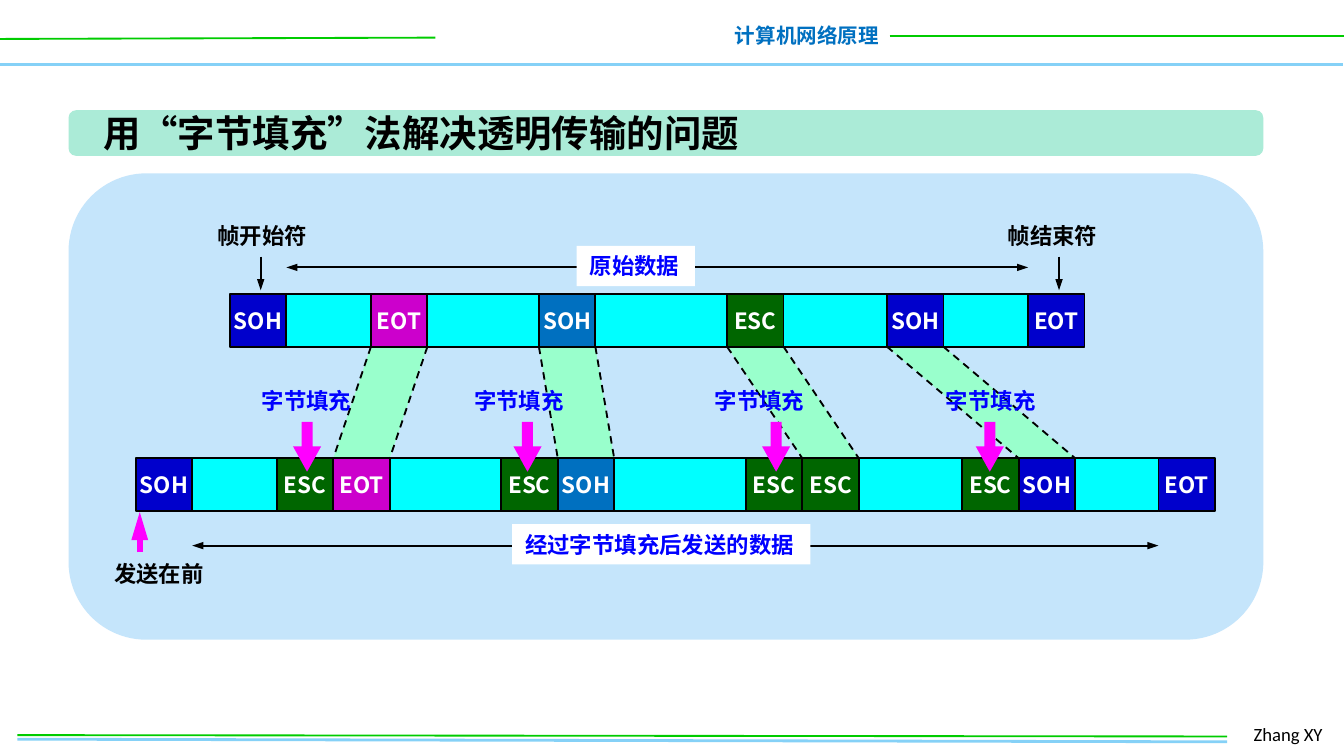
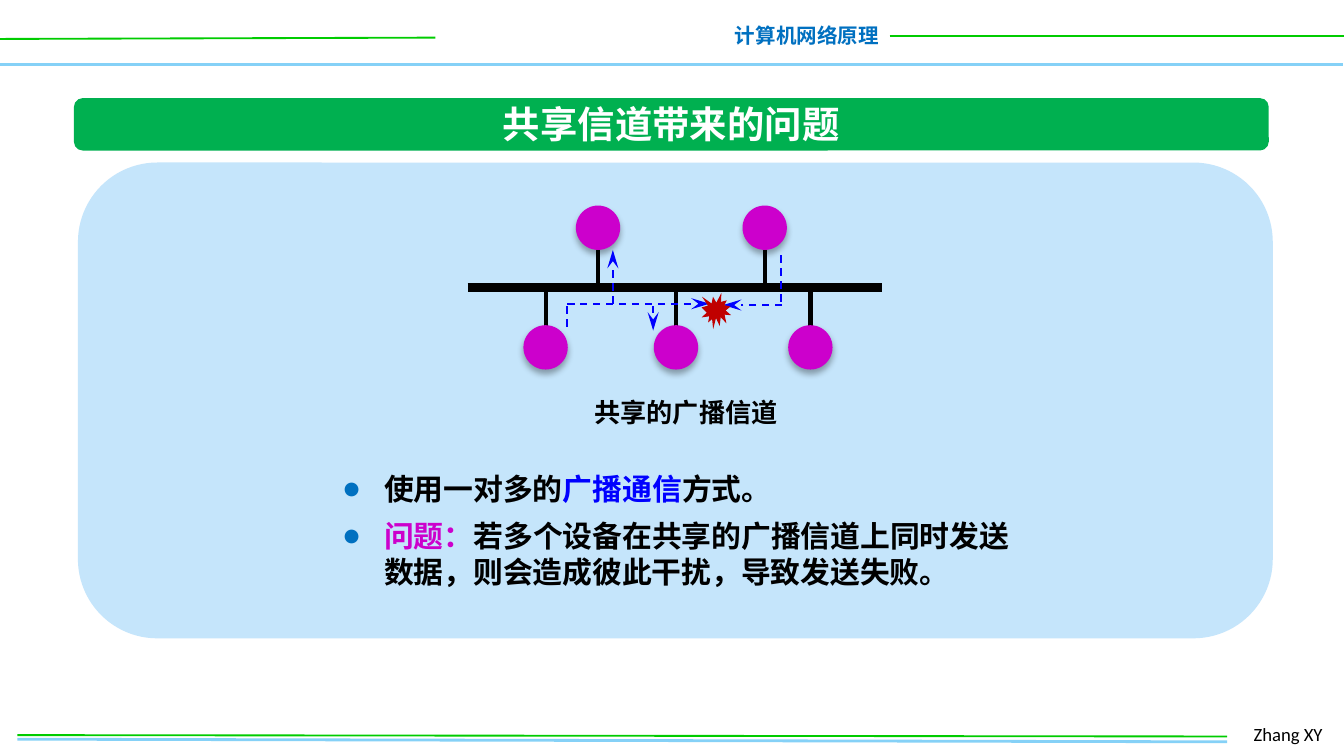
"""Build two slides on byte stuffing and on the shared broadcast channel."""
from lxml import etree
from pptx import Presentation
from pptx.dml.color import RGBColor as RGB
from pptx.enum.dml import MSO_LINE
from pptx.enum.shapes import MSO_CONNECTOR, MSO_SHAPE as SHAPE
from pptx.enum.text import MSO_ANCHOR as ANCHOR, PP_ALIGN as ALIGN
from pptx.oxml.ns import qn
from pptx.util import Inches, Pt

CJK, LATIN = "Noto Sans CJK SC", "Calibri"
BLACK, WHITE = RGB(0, 0, 0), RGB(255, 255, 255)
SKY, GREEN = RGB(0x85, 0xD1, 0xF7), RGB(0, 0xCC, 0)
HEADER_BLUE, PANEL = RGB(0, 0x70, 0xC0), RGB(0xC5, 0xE5, 0xFB)
MINT, TITLE_GREEN = RGB(0xAB, 0xEB, 0xD7), RGB(0, 0xB0, 0x50)
NAVY, CYAN, BLUE = RGB(0, 0, 0xCC), RGB(0, 255, 255), RGB(0, 0, 255)
PURPLE, DARK_GREEN = RGB(0xCC, 0, 0xCC), RGB(0, 0x66, 0)
PALE_GREEN, MAGENTA, RED = RGB(0x99, 255, 0xCC), RGB(255, 0, 255), RGB(0xC0, 0, 0)

RULES = [
    (-0.01, 0.48, 9.99, 0.48, SKY, 2),
    (0, 0.29, 3.24, 0.28, GREEN, 1),
    (6.62, 0.27, 10.01, 0.27, GREEN, 1),
    (0.13, 5.5, 9.13, 5.52, SKY, 1.5),
    (0.13, 5.47, 9.13, 5.48, GREEN, 1),
]

CELL_W, CELL_H = 0.42, 0.39
RAW_Y, SENT_Y = 2.19, 3.41
FRAMES = [(RAW_Y, 1.71, 7.65), (SENT_Y, 1.01, 8.62)]
STUFFED = [
    ("EOT", PURPLE, 2.76, 2.48, 1.85, 2.18),
    ("SOH", HEADER_BLUE, 4.01, 4.15, 3.43, 3.82),
    ("ESC", DARK_GREEN, 5.41, 5.97, 5.22, 5.67),
    ("SOH", NAVY, 6.6, 7.58, 6.94, 7.26),
]
SPANS = [
    (1.99, 2.13, 7.65, "原始数据", (4.29, 1.83, 0.88, 0.3)),
    (4.06, 1.43, 8.62, "经过字节填充后发送的数据", (3.81, 3.9, 2.22, 0.3)),
]
MARKS = [
    ("帧开始符", 1.52, 1.6, (1.94, 1.91, 1.94, 2.16), BLACK, 1),
    ("帧结束符", 7.4, 1.6, (7.88, 1.91, 7.88, 2.16), BLACK, 1),
    ("发送在前", 0.75, 4.12, (1.04, 4.11, 1.04, 3.81), MAGENTA, 3),
]

BUS_Y, NODE_D = 2.15, 0.33
UPPER_NODES, LOWER_NODES = [4.45, 5.69], [4.06, 5.03, 6.03]
SIGNALS = [
    (5.82, 2.27, 5.38, 2.27, True),
    (5.81, 1.9, 5.81, 2.27, False),
    (4.22, 2.26, 5.28, 2.26, True),
    (4.56, 2.26, 4.56, 1.86, True),
    (4.86, 2.28, 4.86, 2.46, True),
    (4.22, 2.28, 4.22, 2.46, False),
]
CAPTION = [("共享的广播信道", BLACK)]
BULLETS = [
    [("使用一对多的", BLACK), ("广播通信", BLUE), ("方式。", BLACK)],
    [("问题：", PURPLE),
     ("若多个设备在共享的广播信道上同时发送数据，则会造成彼此干扰，导致发送失败。", BLACK)],
]


def add_xml(parent, tag, **attrs):
    return etree.SubElement(parent, qn(tag), attrs)


def write(p, runs, size, font=CJK, bold=True):
    for text, color in runs:
        r = p.add_run()
        r.text = text
        r.font.size, r.font.bold, r.font.name = Pt(size), bold, font
        r.font.color.rgb = color
        add_xml(r._r.get_or_add_rPr(), "a:ea", typeface=font)


def add_text(s, box, text, size, color, align=ALIGN.LEFT, fill=None, **style):
    sp = s.shapes.add_textbox(*map(Inches, box))
    if fill is not None:
        sp.fill.solid()
        sp.fill.fore_color.rgb = fill
    tf = sp.text_frame
    tf.word_wrap, tf.vertical_anchor = False, ANCHOR.MIDDLE
    tf.paragraphs[0].alignment = align
    write(tf.paragraphs[0], [(text, color)], size, **style)


def paint(sp, fill, outline=None):
    sp.shadow.inherit = False
    sp.fill.solid()
    sp.fill.fore_color.rgb = fill
    if outline is None:
        sp.line.fill.background()
    else:
        sp.line.color.rgb, sp.line.width = outline, Pt(1)
    return sp


def add_shape(s, kind, box, fill, outline=None):
    return paint(s.shapes.add_shape(kind, *map(Inches, box)), fill, outline)


def add_line(s, ends, color, width, dash=False, head=None, tail=None, tip=("sm", "med")):
    cx = s.shapes.add_connector(MSO_CONNECTOR.STRAIGHT, *map(Inches, ends))
    cx.line.color.rgb, cx.line.width = color, Pt(width)
    if dash:
        cx.line.dash_style = MSO_LINE.DASH
    ln = cx.line._get_or_add_ln()
    for tag, kind in (("a:headEnd", head), ("a:tailEnd", tail)):
        if kind:
            add_xml(ln, tag, type=kind, w=tip[0], len=tip[1])
    add_xml(cx._element.spPr, "a:effectLst")


def add_base(prs, title, title_box, title_color, align, band, band_fill, panel):
    s = prs.slides.add_slide(prs.slide_layouts[6])
    for *ends, color, width in RULES:
        add_line(s, ends, color, width)
    add_text(s, (5.36, 0.12, 1.28, 0.29), "计算机网络原理", 11, HEADER_BLUE, ALIGN.RIGHT)
    add_text(s, (9.23, 5.33, 0.74, 0.27), "Zhang XY", 10, BLACK, font=LATIN, bold=False)
    add_shape(s, SHAPE.ROUNDED_RECTANGLE, band, band_fill)
    add_text(s, title_box, title, 20, title_color, align)
    add_shape(s, SHAPE.ROUNDED_RECTANGLE, panel, PANEL)
    return s


def add_cell(s, x, y, text, fill):
    sp = add_shape(s, SHAPE.RECTANGLE, (x, y, CELL_W, CELL_H), fill, BLACK)
    tf = sp.text_frame
    tf.word_wrap, tf.vertical_anchor = False, ANCHOR.MIDDLE
    tf.paragraphs[0].alignment = ALIGN.CENTER
    write(tf.paragraphs[0], [(text, WHITE)], 12)


def add_stuffing(prs):
    s = add_base(prs, "用“字节填充”法解决透明传输的问题", (0.67, 0.77, 4.97, 0.44), BLACK,
                 ALIGN.LEFT, (0.51, 0.82, 8.89, 0.34), MINT, (0.51, 1.29, 8.89, 3.47))
    raw_bottom = RAW_Y + CELL_H
    for _, _, raw_x, sent_x, _, _ in STUFFED:
        corners = [(raw_x, raw_bottom), (raw_x + CELL_W, raw_bottom),
                   (sent_x + CELL_W, SENT_Y), (sent_x, SENT_Y)]
        points = [(Inches(x), Inches(y)) for x, y in corners]
        fb = s.shapes.build_freeform(*points[0])
        fb.add_line_segments(points[1:])
        paint(fb.convert_to_shape(), PALE_GREEN)
    for y, start, end in FRAMES:
        data_x = start + CELL_W
        add_shape(s, SHAPE.RECTANGLE, (data_x, y, end - data_x, CELL_H), CYAN, BLACK)
        add_cell(s, start, y, "SOH", NAVY)
        add_cell(s, end, y, "EOT", NAVY)
    for name, fill, raw_x, sent_x, label_x, arrow_x in STUFFED:
        add_cell(s, raw_x, RAW_Y, name, fill)
        add_cell(s, sent_x - CELL_W, SENT_Y, "ESC", DARK_GREEN)
        add_cell(s, sent_x, SENT_Y, name, fill)
        for dx in (0, CELL_W):
            add_line(s, (raw_x + dx, raw_bottom, sent_x + dx, SENT_Y), BLACK, 1, dash=True)
        add_text(s, (label_x, 2.83, 0.88, 0.3), "字节填充", 12, BLUE)
        sp = add_shape(s, SHAPE.DOWN_ARROW, (arrow_x, 3.14, 0.21, 0.37), MAGENTA)
        sp.adjustments[0], sp.adjustments[1] = 0.39, 0.9
    for y, left, right, text, box in SPANS:
        add_line(s, (left, y, right, y), BLACK, 1, head="triangle", tail="triangle")
        add_text(s, box, text, 12, BLUE, fill=WHITE)
    for text, x, y, ends, color, width in MARKS:
        tip = ("med", "lg") if width > 1 else ("sm", "med")
        add_line(s, ends, color, width, tail="triangle", tip=tip)
        add_text(s, (x, y, 0.88, 0.3), text, 12, BLACK)


def add_node(s, x, y):
    sp = add_shape(s, SHAPE.OVAL, (x - NODE_D / 2, y, NODE_D, NODE_D), PURPLE)
    effects = sp._element.spPr.find(qn("a:effectLst"))
    shadow = add_xml(effects, "a:outerShdw", blurRad=str(Pt(3.5)), dist=str(Pt(2.2)),
                     dir="5400000", algn="ctr", rotWithShape="0")
    color = add_xml(shadow, "a:srgbClr", val="000000")
    add_xml(color, "a:alpha", val="32000")


def add_summary(s):
    sp = s.shapes.add_textbox(*map(Inches, (2.45, 2.9, 5.31, 1.55)))
    tf = sp.text_frame
    tf.word_wrap = True
    p = tf.paragraphs[0]
    p.alignment = ALIGN.CENTER
    write(p, CAPTION, 14)
    for i, runs in enumerate(BULLETS):
        p = tf.add_paragraph()
        p.space_before = Pt(6 if i else 23)
        pPr = p._p.get_or_add_pPr()
        pPr.set("marL", str(Inches(0.31)))
        pPr.set("indent", str(-Inches(0.31)))
        color = add_xml(pPr, "a:buClr")
        add_xml(color, "a:srgbClr", val=str(HEADER_BLUE))
        add_xml(pPr, "a:buFont", typeface=LATIN)
        add_xml(pPr, "a:buChar", char="●")
        write(p, runs, 16)


def add_channel(prs):
    s = add_base(prs, "共享信道带来的问题", (3.63, 0.7, 2.73, 0.44), WHITE,
                 ALIGN.CENTER, (0.55, 0.73, 8.89, 0.39), TITLE_GREEN, (0.58, 1.21, 8.89, 3.54))
    add_line(s, (3.48, 2.14, 6.56, 2.14), BLACK, 4.5)
    for xs, stub_y, node_y in ((UPPER_NODES, 1.81, 1.53), (LOWER_NODES, 2.48, 2.42)):
        for x in xs:
            add_line(s, (x, stub_y, x, BUS_Y), BLACK, 2.25)
            add_node(s, x, node_y)
    add_summary(s)
    for *ends, arrow in SIGNALS:
        add_line(s, ends, BLUE, 1, dash=True, tail="stealth" if arrow else None,
                 tip=("med", "lg"))
    add_shape(s, SHAPE.EXPLOSION1, (5.22, 2.18, 0.22, 0.27), RED)


def main():
    prs = Presentation()
    prs.slide_width = Inches(10)
    prs.slide_height = prs.slide_width * 9 // 16
    add_stuffing(prs)
    add_channel(prs)
    prs.save("out.pptx")


if __name__ == "__main__":
    main()
